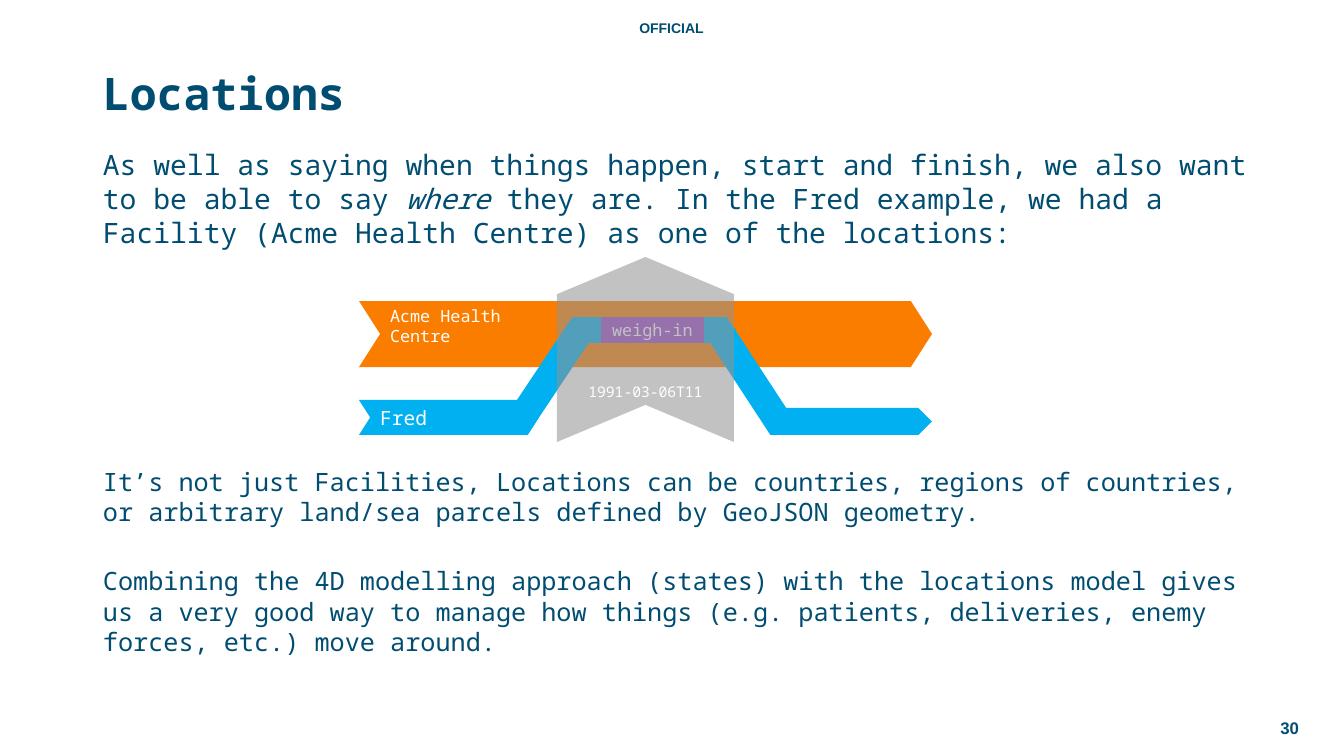
from dataclasses import dataclass

from lxml.etree import SubElement
from pptx import Presentation
from pptx.dml.color import RGBColor
from pptx.enum.shapes import MSO_SHAPE
from pptx.enum.text import MSO_ANCHOR, PP_ALIGN
from pptx.oxml.ns import qn
from pptx.shapes.autoshape import Shape
from pptx.slide import Slide
from pptx.text.text import TextFrame
from pptx.util import Emu, Pt

NAVY, WHITE = "004D71", "FFFFFF"
ORANGE, BLUE, PURPLE, GREY = "FA7D00", "00B0F0", "9A46CE", "939393"
MONO = "Noto Sans Mono"


@dataclass(frozen=True)
class Box:
    left: int
    top: int
    width: int
    height: int


@dataclass(frozen=True)
class Wording:
    paragraphs: tuple[str, ...]
    size: float
    color: str = WHITE
    font: str = MONO
    bold: bool = False
    align: PP_ALIGN = PP_ALIGN.LEFT
    anchor: MSO_ANCHOR = MSO_ANCHOR.MIDDLE
    gap: int = 0
    emphasis: str = ""
    vertical: bool = False


@dataclass(frozen=True)
class Band:
    kind: MSO_SHAPE
    box: Box
    fill: str
    point: float | None = None
    rotation: float = 0
    opacity: int = 100
    wording: Wording | None = None


def px(length: int) -> Emu:
    return Emu(round(length * 914400 / 100.8))


def rgb(color: str) -> RGBColor:
    return RGBColor.from_string(color)


def place(box: Box) -> tuple[Emu, ...]:
    return px(box.left), px(box.top), px(box.width), px(box.height)


def write(frame: TextFrame, wording: Wording) -> None:
    frame.word_wrap = True
    frame.vertical_anchor = wording.anchor
    if wording.vertical:
        frame._txBody.bodyPr.set("vert", "vert")
    for index, content in enumerate(wording.paragraphs):
        paragraph = frame.add_paragraph() if index else frame.paragraphs[0]
        paragraph.alignment = wording.align
        paragraph.space_before = Pt(wording.gap if index else 0)
        paragraph.font.name = wording.font
        paragraph.font.size = Pt(wording.size)
        paragraph.font.bold = wording.bold
        paragraph.font.color.rgb = rgb(wording.color)
        pieces = content.partition(wording.emphasis) if wording.emphasis else (content,)
        for piece in pieces:
            run = paragraph.add_run()
            run.text = piece
            if piece == wording.emphasis:
                run.font.italic = True


def draw_text(slide: Slide, box: Box, wording: Wording) -> None:
    write(slide.shapes.add_textbox(*place(box)).text_frame, wording)


def set_opacity(shape: Shape, percent: int) -> None:
    tint = shape._element.spPr.find(qn("a:solidFill"))[0]
    SubElement(tint, qn("a:alpha")).set("val", str(percent * 1000))


def draw_band(slide: Slide, band: Band) -> None:
    shape = slide.shapes.add_shape(band.kind, *place(band.box))
    shape.shadow.inherit = False
    shape.fill.solid()
    shape.fill.fore_color.rgb = rgb(band.fill)
    shape.line.fill.background()
    shape.rotation = band.rotation
    if band.point is not None:
        shape.adjustments[0] = band.point
    if band.opacity < 100:
        set_opacity(shape, band.opacity)
    if band.wording:
        write(shape.text_frame, band.wording)


TEXTS = (
    (Box(409, 15, 525, 27), Wording(("OFFICIAL",), 10, NAVY, "Arial", True,
                                    PP_ALIGN.CENTER, MSO_ANCHOR.TOP)),
    (Box(1247, 708, 62, 40), Wording(("30",), 12, NAVY, "Arial", True, PP_ALIGN.RIGHT)),
    (Box(93, 54, 1172, 78), Wording(("Locations",), 32, NAVY, bold=True)),
    (Box(93, 143, 1172, 121), Wording((
        "As well as saying when things happen, start and finish, we also want to be able "
        "to say where they are. In the Fred example, we had a Facility (Acme Health Centre) "
        "as one of the locations:",
    ), 20, NAVY, anchor=MSO_ANCHOR.TOP, emphasis="where")),
    (Box(93, 461, 1172, 214), Wording((
        "It’s not just Facilities, Locations can be countries, regions of countries, "
        "or arbitrary land/sea parcels defined by GeoJSON geometry.",
        "Combining the 4D modelling approach (states) with the locations model gives us "
        "a very good way to manage how things (e.g. patients, deliveries, enemy forces, "
        "etc.) move around.",
    ), 18, NAVY, anchor=MSO_ANCHOR.TOP, gap=28)),
)

BANDS = (
    Band(MSO_SHAPE.CHEVRON, Box(359, 301, 573, 66), ORANGE, 0.32,
         wording=Wording(("Acme Health", "Centre"), 12, anchor=MSO_ANCHOR.TOP)),
    Band(MSO_SHAPE.CHEVRON, Box(359, 400, 180, 35), BLUE, 0.32,
         wording=Wording(("Fred",), 14)),
    Band(MSO_SHAPE.PENTAGON, Box(685, 365, 131, 28), BLUE, 0.33, 56.8),
    Band(MSO_SHAPE.PENTAGON, Box(770, 408, 162, 27), BLUE, 0.5),
    Band(MSO_SHAPE.PENTAGON, Box(487, 358, 131, 28), BLUE, 0.33, 303.7),
    Band(MSO_SHAPE.PENTAGON, Box(575, 317, 161, 26), BLUE, 0.44),
    Band(MSO_SHAPE.RECTANGLE, Box(601, 317, 103, 26), PURPLE,
         wording=Wording(("weigh-in",), 12, align=PP_ALIGN.CENTER)),
    Band(MSO_SHAPE.CHEVRON, Box(553, 261, 185, 177), GREY, 0.21, 270, 56,
         Wording(("1991-03-06T11",), 10.5, align=PP_ALIGN.CENTER,
                 anchor=MSO_ANCHOR.BOTTOM, vertical=True)),
)


def main() -> None:
    deck = Presentation()
    deck.slide_width, deck.slide_height = px(1344), px(756)
    slide = deck.slides.add_slide(deck.slide_layouts[6])
    for box, wording in TEXTS:
        draw_text(slide, box, wording)
    for band in BANDS:
        draw_band(slide, band)
    deck.save("out.pptx")


if __name__ == "__main__":
    main()
